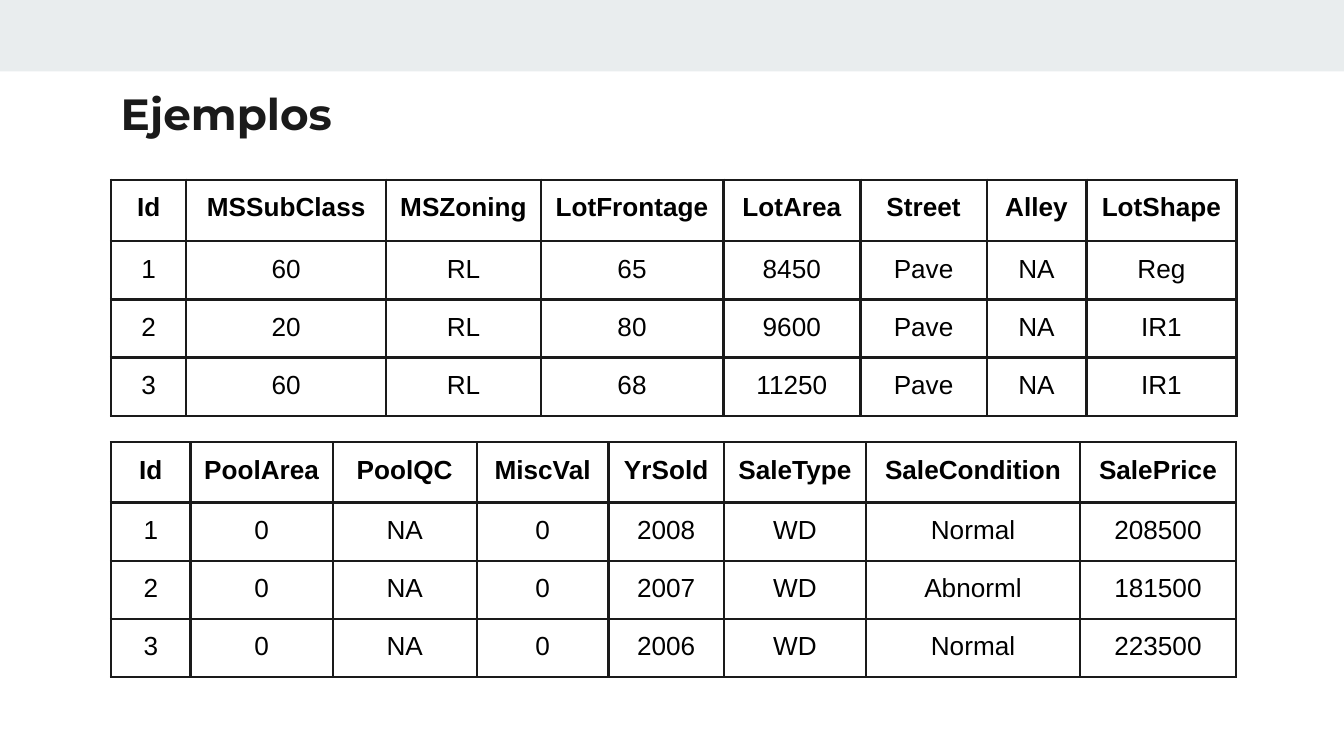
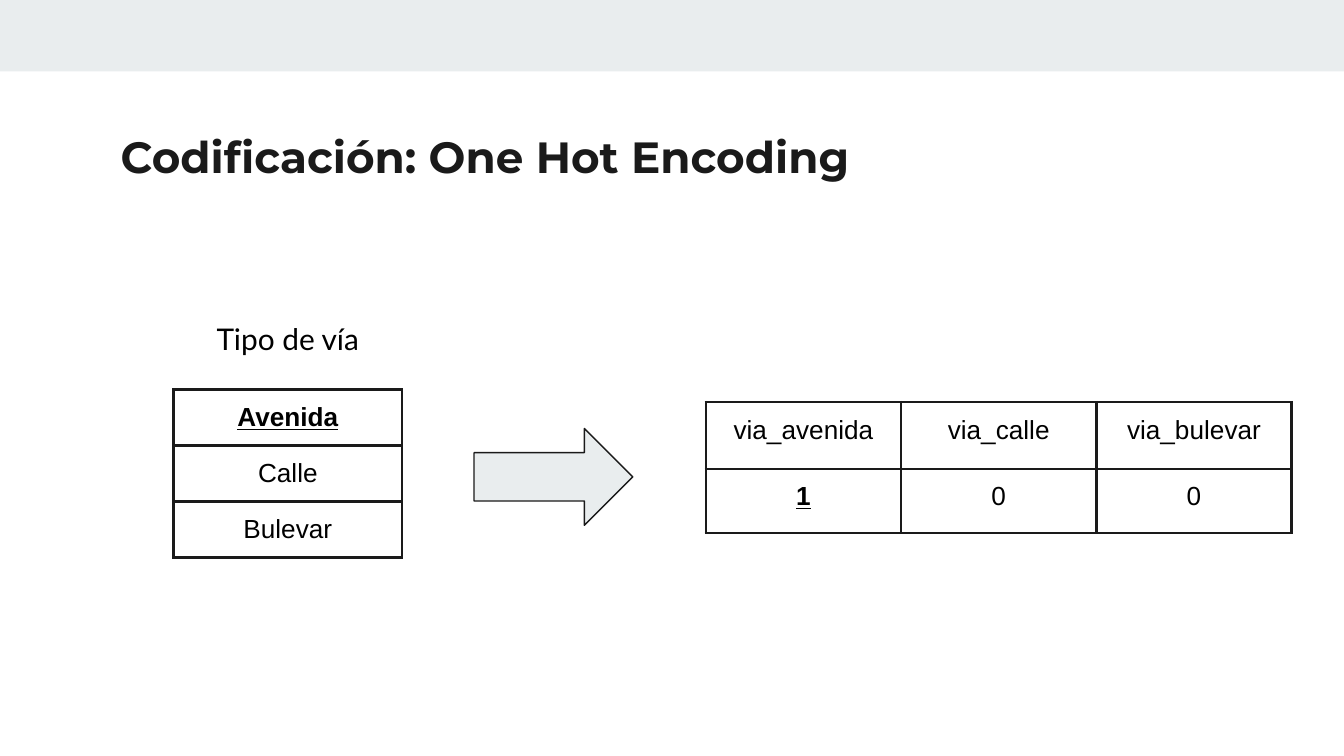
from dataclasses import dataclass

from lxml import etree
from pptx import Presentation
from pptx import util as u
from pptx.dml.color import RGBColor
from pptx.enum import shapes, text
from pptx.oxml.ns import qn


@dataclass(frozen=True)
class Theme:
    """Colours, fonts and sizes shared by the slides."""
    ink: str = "1A1A1A"
    band: str = "E9EDEE"
    body: str = "000000"
    title_font: str = "Montserrat"
    label_font: str = "Lato"
    table_font: str = "Arial"
    title_size: float = 23.4
    label_size: float = 16
    table_size: float = 14
    border: float = 1.5
    outline: float = 0.75
    inset: float = 0.25


THEME = Theme()
SLIDE_SIZE = (25.4, 14.29)
BAND_HEIGHT = 1.35
TITLE_LEFT, TITLE_WIDTH, TITLE_HEIGHT = 2.03, 21.36, 1.5

# Lengths in centimetres; "strong" lists (row, column) of underlined bold cells.
LOT_TABLE = {
    "at": (2.1, 3.4),
    "columns": [1.42, 3.78, 2.92, 3.45, 2.59, 2.39, 1.88, 2.84],
    "rows": [1.16, 1.1, 1.1, 1.1],
    "bold_header": True,
    "cells": [
        ["Id", "MSSubClass", "MSZoning", "LotFrontage", "LotArea", "Street", "Alley", "LotShape"],
        ["1", "60", "RL", "65", "8450", "Pave", "NA", "Reg"],
        ["2", "20", "RL", "80", "9600", "Pave", "NA", "IR1"],
        ["3", "60", "RL", "68", "11250", "Pave", "NA", "IR1"],
    ],
}
SALE_TABLE = {
    "at": (2.1, 8.36),
    "columns": [1.5, 2.69, 2.72, 2.49, 2.18, 2.69, 4.04, 2.95],
    "rows": [1.14, 1.1, 1.1, 1.1],
    "bold_header": True,
    "cells": [
        ["Id", "PoolArea", "PoolQC", "MiscVal", "YrSold", "SaleType", "SaleCondition", "SalePrice"],
        ["1", "0", "NA", "0", "2008", "WD", "Normal", "208500"],
        ["2", "0", "NA", "0", "2007", "WD", "Abnorml", "181500"],
        ["3", "0", "NA", "0", "2006", "WD", "Normal", "223500"],
    ],
}
STREET_TABLE = {
    "at": (3.28, 7.36),
    "columns": [4.32],
    "rows": [1.06] * 3,
    "strong": [(0, 0)],
    "cells": [["Avenida"], ["Calle"], ["Bulevar"]],
}
ENCODED_TABLE = {
    "at": (13.34, 7.6),
    "columns": [3.69] * 3,
    "rows": [1.26, 1.22],
    "strong": [(1, 0)],
    "cells": [["via_avenida", "via_calle", "via_bulevar"], ["1", "0", "0"]],
}
SLIDES = [
    {"title": "Ejemplos", "title_top": 1.4, "tables": [LOT_TABLE, SALE_TABLE]},
    {
        "title": "Codificación: One Hot Encoding",
        "title_top": 2.21,
        "tables": [STREET_TABLE, ENCODED_TABLE],
        "label": ("Tipo de vía", (3.28, 5.82, 4.32, 1.19)),
        "arrow": (8.96, 8.1, 3.0, 1.83),
    },
]


def cm(*lengths):
    """Turn centimetres into a list of lengths."""
    return [u.Cm(length) for length in lengths]


def style_text(frame, font, size, colour, bold=False, underline=False,
               align=text.PP_ALIGN.CENTER):
    """Format every run of a text frame."""
    for paragraph in frame.paragraphs:
        paragraph.alignment = align
        for run in paragraph.runs:
            run.font.name = font
            run.font.size = u.Pt(size)
            run.font.color.rgb = RGBColor.from_string(colour)
            run.font.bold = bold
            run.font.underline = underline


def set_insets(box):
    """Give a cell or text frame equal margins on all sides."""
    box.margin_left = box.margin_right = u.Cm(THEME.inset)
    box.margin_top = box.margin_bottom = u.Cm(THEME.inset)


def add_filled_shape(slide, preset, place, outlined=False):
    """Add a flat shape in the band colour, outlined on request."""
    shape = slide.shapes.add_shape(preset, *cm(*place))
    shape.shadow.inherit = False
    shape.fill.solid()
    shape.fill.fore_color.rgb = RGBColor.from_string(THEME.band)
    if outlined:
        shape.line.color.rgb = RGBColor.from_string(THEME.ink)
        shape.line.width = u.Pt(THEME.outline)
    else:
        shape.line.fill.background()


def set_title(slide, wording, top):
    """Fill and place the title placeholder."""
    title = slide.shapes.title
    title.left, title.top, title.width, title.height = cm(
        TITLE_LEFT, top, TITLE_WIDTH, TITLE_HEIGHT)
    frame = title.text_frame
    frame.text = wording
    frame.word_wrap = True
    frame.auto_size = text.MSO_AUTO_SIZE.NONE
    frame.vertical_anchor = text.MSO_ANCHOR.TOP
    set_insets(frame)
    style_text(frame, THEME.title_font, THEME.title_size, THEME.ink,
               bold=True, align=text.PP_ALIGN.LEFT)


def add_label(slide, wording, place):
    """Add a centred caption."""
    frame = slide.shapes.add_textbox(*cm(*place)).text_frame
    frame.text = wording
    frame.word_wrap = True
    frame.auto_size = text.MSO_AUTO_SIZE.SHAPE_TO_FIT_TEXT
    set_insets(frame)
    style_text(frame, THEME.label_font, THEME.label_size, THEME.body)


def draw_borders(cell):
    """Draw the four borders of a cell, ahead of its fill."""
    properties = cell._tc.get_or_add_tcPr()
    for position, side in enumerate(("a:lnL", "a:lnR", "a:lnT", "a:lnB")):
        border = etree.Element(qn(side), w=str(u.Pt(THEME.border)))
        fill = etree.SubElement(border, qn("a:solidFill"))
        etree.SubElement(fill, qn("a:srgbClr"), val=THEME.ink)
        properties.insert(position, border)


def add_grid(slide, spec_table):
    """Add a bordered table without banding."""
    columns, rows = spec_table["columns"], spec_table["rows"]
    place = (*spec_table["at"], sum(columns), sum(rows))
    table = slide.shapes.add_table(len(rows), len(columns), *cm(*place)).table
    table.first_row = table.horz_banding = False
    for column, width in zip(table.columns, columns):
        column.width = u.Cm(width)
    for row, height in zip(table.rows, rows):
        row.height = u.Cm(height)
    for r, values in enumerate(spec_table["cells"]):
        for c, value in enumerate(values):
            cell = table.cell(r, c)
            cell.text_frame.text = value
            cell.fill.background()
            set_insets(cell)
            draw_borders(cell)
            strong = (r, c) in spec_table.get("strong", [])
            header = r == 0 and spec_table.get("bold_header", False)
            style_text(cell.text_frame, THEME.table_font, THEME.table_size,
                       THEME.body, bold=strong or header, underline=strong)


def build():
    """Build and save the presentation."""
    deck = Presentation()
    deck.slide_width, deck.slide_height = cm(*SLIDE_SIZE)
    title_only = deck.slide_layouts[5]
    for content in SLIDES:
        slide = deck.slides.add_slide(title_only)
        add_filled_shape(slide, shapes.MSO_SHAPE.RECTANGLE,
                         (0, 0, SLIDE_SIZE[0], BAND_HEIGHT))
        set_title(slide, content["title"], content["title_top"])
        for table in content["tables"]:
            add_grid(slide, table)
        if "label" in content:
            add_label(slide, *content["label"])
        if "arrow" in content:
            add_filled_shape(slide, shapes.MSO_SHAPE.RIGHT_ARROW,
                             content["arrow"], outlined=True)
    deck.save("out.pptx")


build()
